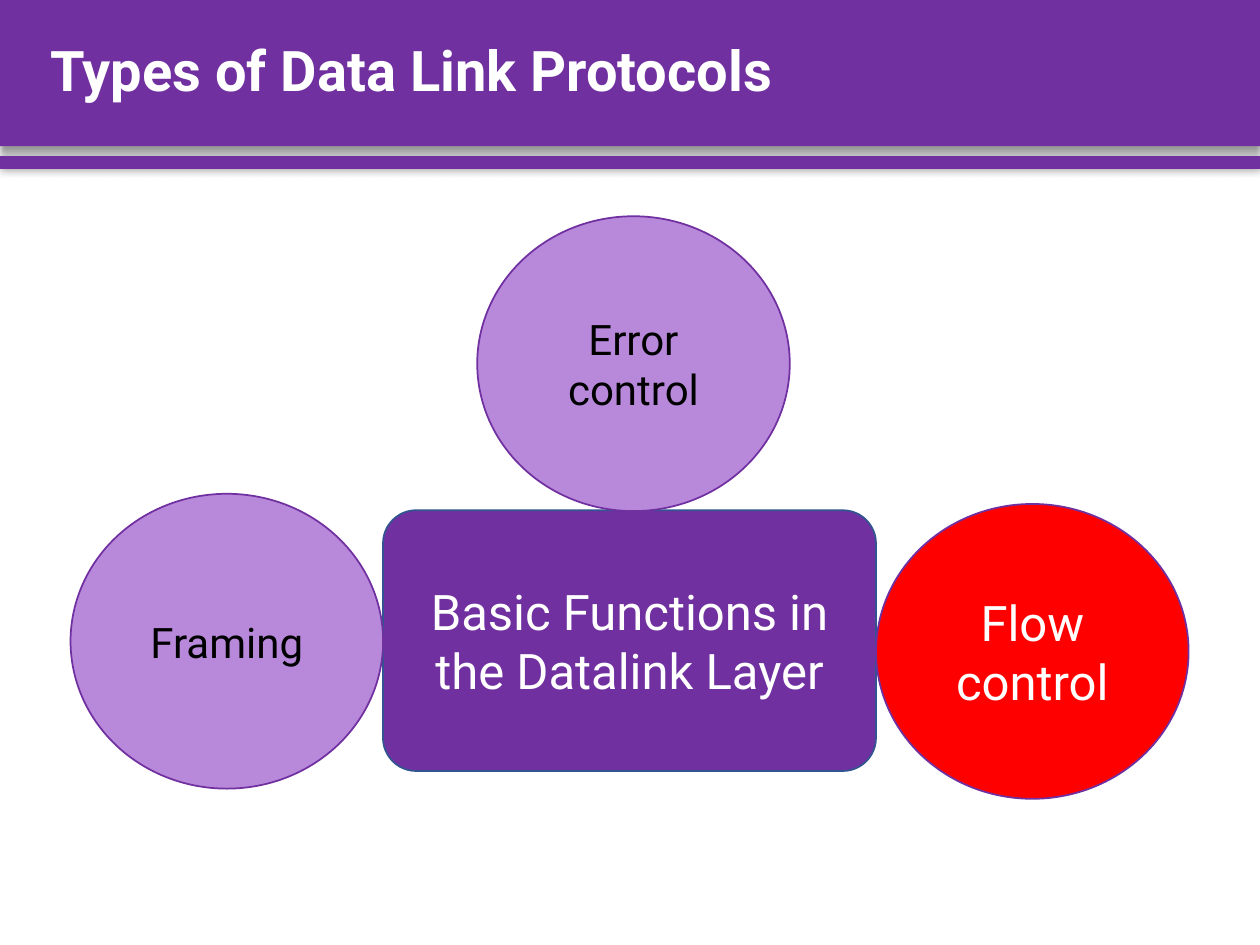
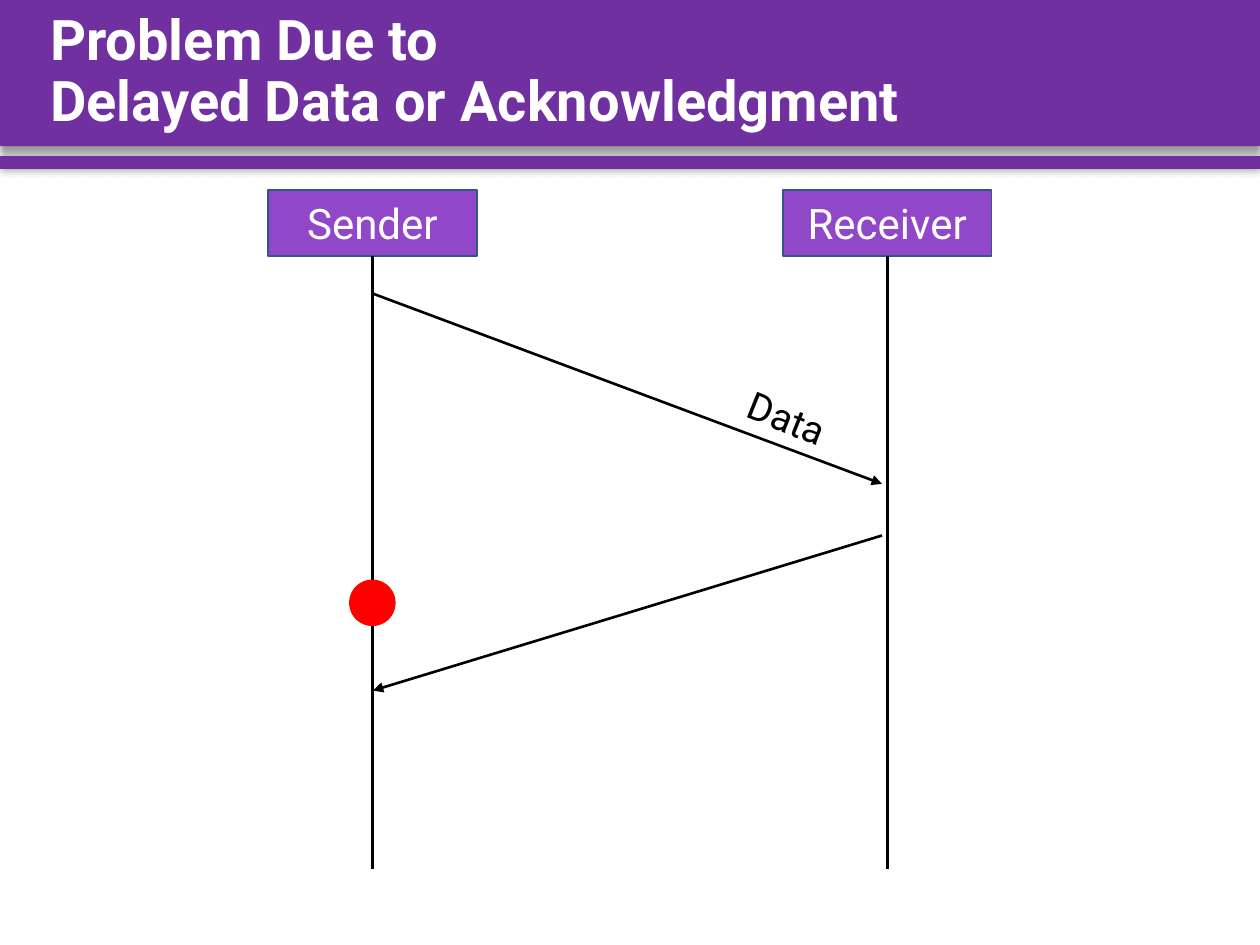
from pptx import Presentation
from pptx.dml.color import RGBColor
from pptx.enum.shapes import MSO_CONNECTOR, MSO_SHAPE
from pptx.enum.text import MSO_ANCHOR, MSO_AUTO_SIZE, PP_ALIGN
from pptx.oxml.ns import qn
from pptx.util import Pt
from lxml.etree import SubElement

PURPLE = RGBColor(0x70, 0x30, 0xA0)
VIOLET = RGBColor(0x91, 0x48, 0xC8)
LILAC = RGBColor(0xB8, 0x89, 0xDB)
RED = RGBColor(0xFF, 0x00, 0x00)
BLUE = RGBColor(0x32, 0x54, 0x91)
BLACK = RGBColor(0x00, 0x00, 0x00)
WHITE = RGBColor(0xFF, 0xFF, 0xFF)

# Content
TYPES = "Types of Data Link Protocols"
DELAY = "Problem Due to \vDelayed Data or Acknowledgment"
HUB = "Basic Functions in the Datalink Layer"
FRAMING = ("Framing", LILAC, 24, BLACK)
ERROR = ("Error control", LILAC, 24, BLACK)
FLOW = ("Flow control", RED, 28, WHITE)
ACTORS = ["Sender", "Receiver"]

# Layout in points
WIDE, HIGH = 720, 540
BANDS = [  # top, height, shadow blur, distance, angle
    (0, 83.5, 4, 3, 90),
    (89.3, 7.2, 5, 0, 0),
]
TITLE_BOX = (21.6, 0, 681, 83.5)
HUB_BOX = (218.9, 291.6, 281.7, 149)
DISC_W, DISC_H = 178.6, 168.5
ACTOR_X, ACTOR_GAP = 153.2, 294.2
ACTOR_Y, ACTOR_W, ACTOR_H = 108.6, 119.2, 37.6
LIFE_END = 496.8
NEAR, FAR = 213.1, 504
ARROWS = [(NEAR, 167.8, FAR, 276.5), (FAR, 306, NEAR, 394.6)]
DATA_BOX = (419.8, 221.8, 59.8, 33.8)
DOT_SIZE, DOT_Y = 26.6, 331.2


def write(shape, text, size, ink, align=PP_ALIGN.CENTER, bold=False):
    frame = shape.text_frame
    frame.text = text
    para = frame.paragraphs[0]
    para.alignment = align
    look = {"name": "Roboto", "size": Pt(size), "bold": bold}
    for run in para.runs:
        for key, value in look.items():
            setattr(run.font, key, value)
        run.font.color.rgb = ink
    return para


def draw(slide, kind, box, fill, line=None):
    shape = slide.shapes.add_shape(kind, *map(Pt, box))
    shape.fill.solid()
    shape.fill.fore_color.rgb = fill
    if line is None:
        shape.line.fill.background()
    else:
        shape.line.color.rgb = line
        shape.line.width = Pt(1)
    shape.shadow.inherit = False
    return shape


def cast(shape, blur, dist, angle):
    effects = shape._element.spPr.find(qn("a:effectLst"))
    outer = SubElement(effects, qn("a:outerShdw"), blurRad=str(Pt(blur)),
                       dist=str(Pt(dist)), dir=str(angle * 60000))
    tint = SubElement(outer, qn("a:srgbClr"), val=str(BLACK))
    SubElement(tint, qn("a:alpha"), val="40000")


def link(slide, ends, arrow=False):
    line = slide.shapes.add_connector(MSO_CONNECTOR.STRAIGHT, *map(Pt, ends))
    line.line.color.rgb = BLACK
    line.line.width = Pt(1.5)
    props = line._element.spPr
    if arrow:
        SubElement(props.find(qn("a:ln")), qn("a:tailEnd"), type="triangle")
    SubElement(props, qn("a:effectLst"))
    return line


def label(slide, box, wrap, anchor):
    area = slide.shapes.add_textbox(*map(Pt, box))
    look = {"word_wrap": wrap, "vertical_anchor": anchor}
    for key, value in look.items():
        setattr(area.text_frame, key, value)
    return area


def start(deck, title):
    slide = deck.slides.add_slide(deck.slide_layouts[6])
    for top, height, *shade in BANDS:
        band = draw(slide, MSO_SHAPE.RECTANGLE, (0, top, WIDE, height), PURPLE)
        cast(band, *shade)
    area = label(slide, TITLE_BOX, True, MSO_ANCHOR.MIDDLE)
    para = write(area, title, 32, WHITE, PP_ALIGN.LEFT, True)
    para.line_spacing = 0.9
    return slide


def show_types(deck):
    slide = start(deck, TYPES)
    left, top, width, _ = HUB_BOX
    hub = draw(slide, MSO_SHAPE.ROUNDED_RECTANGLE, HUB_BOX, PURPLE, BLUE)
    hub.adjustments[0] = 0.127
    write(hub, HUB, 28, WHITE)

    # Discs touch the hub on three sides
    discs = [
        (left - DISC_W, 282.2, FRAMING),
        (272.7, top - DISC_H + 0.5, ERROR),
        (left + width, 288, FLOW),
    ]
    for x, y, (text, fill, size, ink) in discs:
        disc = draw(slide, MSO_SHAPE.OVAL, (x, y, DISC_W, DISC_H), fill, PURPLE)
        write(disc, text, size, ink)


def show_delay(deck):
    slide = start(deck, DELAY)

    # Actors and their lifelines
    for i, name in enumerate(ACTORS):
        x = ACTOR_X + i * ACTOR_GAP
        mid = x + ACTOR_W / 2
        box = (x, ACTOR_Y, ACTOR_W, ACTOR_H)
        actor = draw(slide, MSO_SHAPE.RECTANGLE, box, VIOLET, BLUE)
        write(actor, name, 24, WHITE)
        life = link(slide, (mid, ACTOR_Y + ACTOR_H, mid, LIFE_END))
        life.begin_connect(actor, 2)

    # Messages
    for ends in ARROWS:
        link(slide, ends, True)
    data = label(slide, DATA_BOX, False, MSO_ANCHOR.TOP)
    data.text_frame.auto_size = MSO_AUTO_SIZE.SHAPE_TO_FIT_TEXT
    data.rotation = 21.9
    write(data, "Data", 22, BLACK, PP_ALIGN.LEFT)

    # Timeout dot on the sender's lifeline
    x = ACTOR_X + (ACTOR_W - DOT_SIZE) / 2
    draw(slide, MSO_SHAPE.OVAL, (x, DOT_Y, DOT_SIZE, DOT_SIZE), RED)


def main():
    deck = Presentation()
    deck.slide_width, deck.slide_height = Pt(WIDE), Pt(HIGH)
    show_types(deck)
    show_delay(deck)
    deck.save("out.pptx")


if __name__ == "__main__":
    main()
